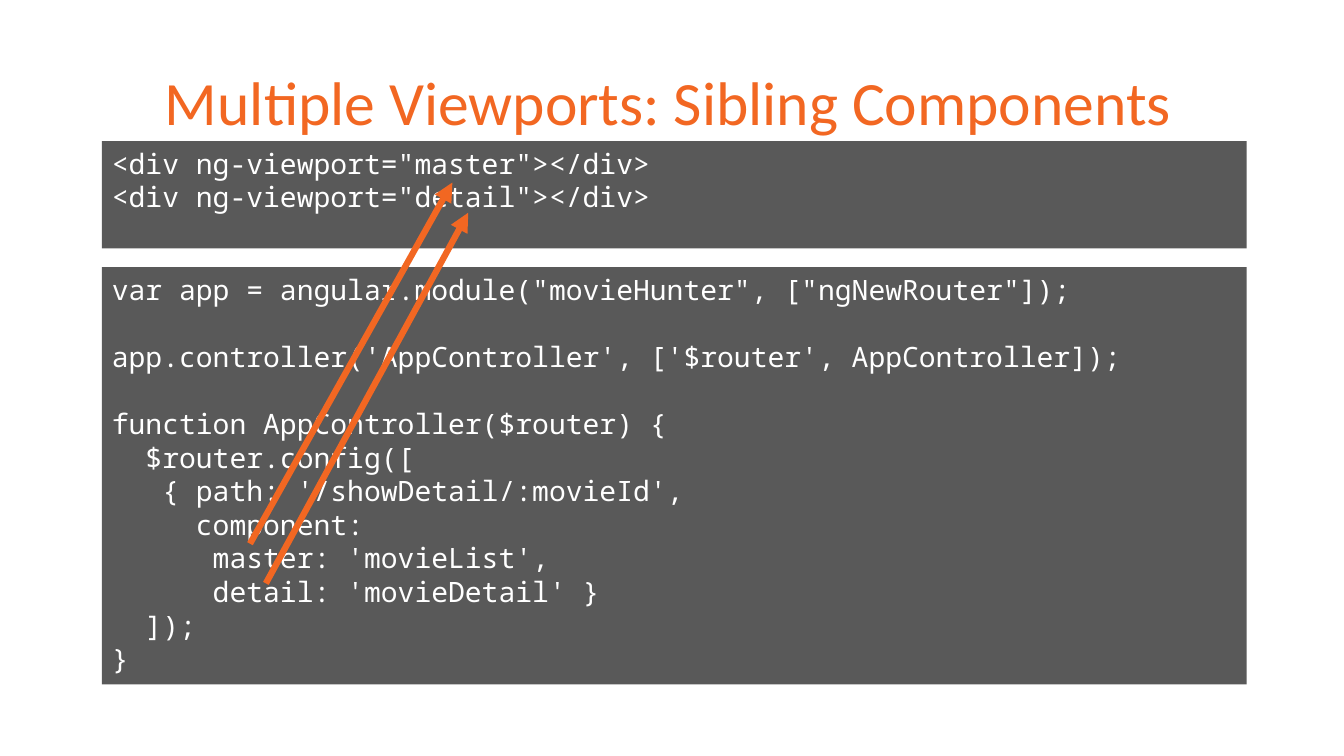
from pptx import Presentation
from pptx.dml.color import RGBColor
from pptx.enum.shapes import MSO_CONNECTOR, MSO_SHAPE
from pptx.enum.text import MSO_ANCHOR, PP_ALIGN
from pptx.oxml.ns import qn
from pptx.util import Cm, Pt
from lxml import etree

ORANGE = RGBColor(0xF2, 0x67, 0x22)
GREY = RGBColor(0x59, 0x59, 0x59)
WHITE = RGBColor(0xFF, 0xFF, 0xFF)
RECT = MSO_SHAPE.RECTANGLE
STRAIGHT = MSO_CONNECTOR.STRAIGHT
TOP, MIDDLE = MSO_ANCHOR.TOP, MSO_ANCHOR.MIDDLE
LEFT, CENTER = PP_ALIGN.LEFT, PP_ALIGN.CENTER

VIEWPORTS = '''<div ng-viewport="master"></div>
<div ng-viewport="detail"></div>'''

ROUTES = '''var app = angular.module("movieHunter", ["ngNewRouter"]);

app.controller('AppController', ['$router', AppController]);

function AppController($router) {
  $router.config([
   { path: '/showDetail/:movieId',
     component:
      master: 'movieList',
      detail: 'movieDetail' }
  ]);
}'''


def write(tf, text, font, size, color, align=LEFT, anchor=TOP, spacing=None, gap=24):
    """Fill a text frame, turning each empty line into space before the next."""
    tf.word_wrap = True
    tf.vertical_anchor = anchor
    p = tf.paragraphs[0]
    for i, block in enumerate(text.split("\n\n")):
        for j, line in enumerate(block.split("\n")):
            if i or j:
                p = tf.add_paragraph()
            if i and not j:
                p.space_before = Pt(gap)
            p.alignment = align
            if spacing:
                p.line_spacing = spacing
            r = p.add_run()
            r.text = line
            r.font.name = font
            r.font.size = Pt(size)
            r.font.color.rgb = color


class CodeSlide:
    """Style and drawing methods for a slide of code panels."""

    title_font, code_font = "Calibri", "Noto Sans Mono"

    def __init__(self, prs):
        self.s = prs.slides.add_slide(prs.slide_layouts[6])

    def title(self, text, x, y, w, h):
        sp = self.s.shapes.add_textbox(Cm(x), Cm(y), Cm(w), Cm(h))
        sp.text_frame.margin_left = 0
        write(sp.text_frame, text, self.title_font, 44, ORANGE,
              align=CENTER, anchor=MIDDLE, spacing=0.85)

    def code(self, text, y, h, x=2.57, w=28.85):
        sp = self.s.shapes.add_shape(RECT, Cm(x), Cm(y), Cm(w), Cm(h))
        sp.shadow.inherit = False
        sp.fill.solid()
        sp.fill.fore_color.rgb = GREY
        sp.line.fill.background()
        write(sp.text_frame, text, self.code_font, 20, WHITE)

    def arrow(self, x1, y1, x2, y2):
        c = self.s.shapes.add_connector(STRAIGHT, Cm(x1), Cm(y1), Cm(x2), Cm(y2))
        c.line.color.rgb = ORANGE
        c.line.width = Pt(4.5)
        etree.SubElement(c.line._get_or_add_ln(), qn("a:tailEnd"), type="triangle")
        etree.SubElement(c._element.spPr, qn("a:effectLst"))


def main():
    prs = Presentation()
    prs.slide_width, prs.slide_height = Cm(33.87), Cm(19.05)
    slide = CodeSlide(prs)
    slide.title("Multiple Viewports: Sibling Components", 1.73, 0.51, 30.5, 4.37)
    slide.code(VIEWPORTS, 3.56, 2.7)
    slide.code(ROUTES, 6.73, 10.52)
    slide.arrow(6.3, 13.7, 11.4, 4.6)
    slide.arrow(6.7, 14.7, 11.8, 5.36)
    prs.save("out.pptx")


if __name__ == "__main__":
    main()
